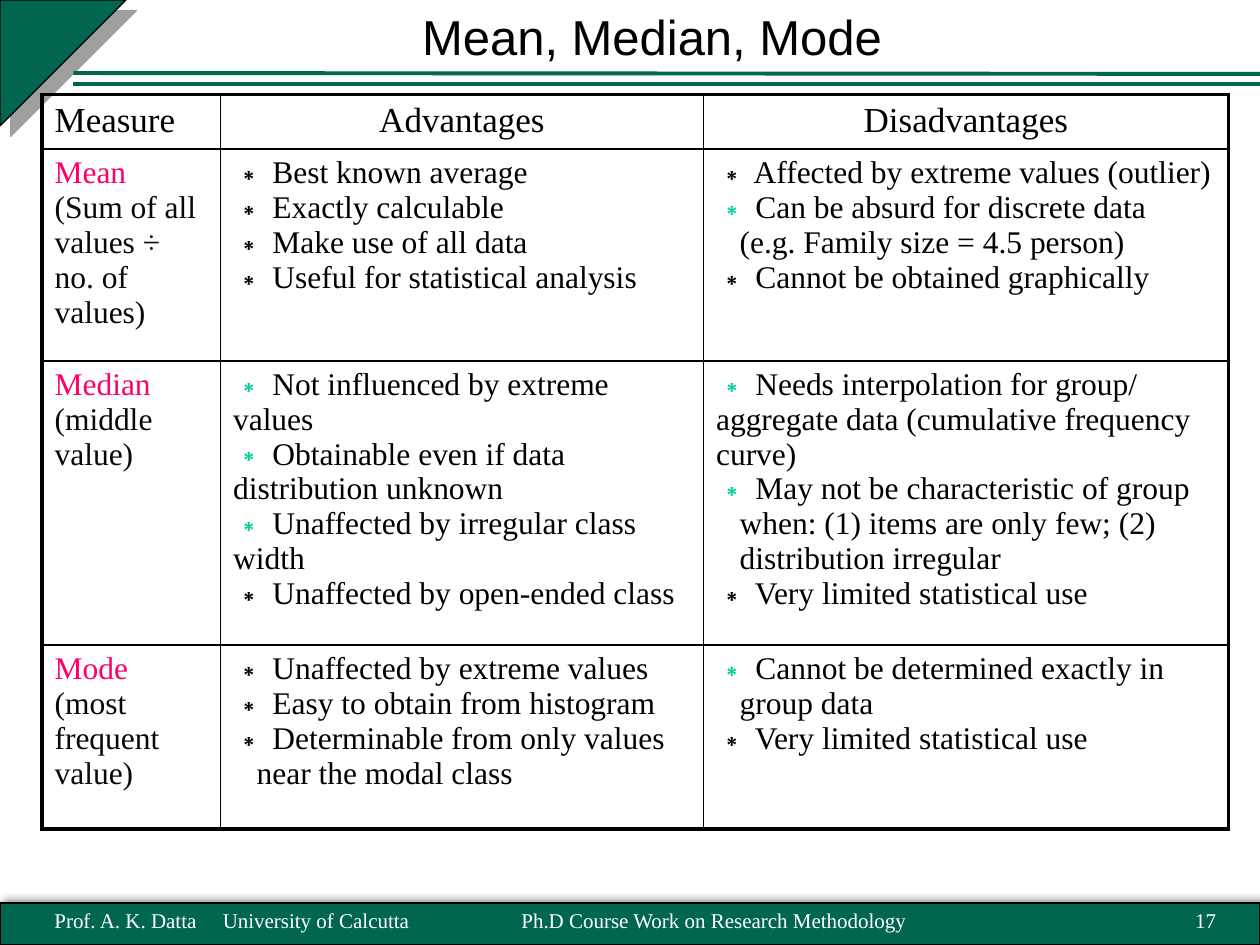
"""Build a slide comparing the mean, median and mode in a table."""
import pptx
import pptx.dml.color
import pptx.enum.shapes
import pptx.enum.text
import pptx.oxml
import pptx.oxml.ns
import pptx.util

Pt = pptx.util.Pt
ALIGN = pptx.enum.text.PP_ALIGN
ANCHOR = pptx.enum.text.MSO_ANCHOR
SHAPE = pptx.enum.shapes.MSO_SHAPE
SERIF = "Times New Roman"
GREEN, PINK, BLACK, WHITE = "00664D", "FF0066", "000000", "FFFFFF"
BULLETS = {"+": "00CC99", "-": BLACK}
COLUMNS = [102, 276, 300]
ROWS = [29.2, 121, 162.4, 105]
HEADINGS = ["Measure", "Advantages", "Disadvantages"]
MEASURES = [
    (
        ["Mean", "(Sum of all values ÷", "no. of values)"],
        ["- Best known average", "- Exactly calculable", "- Make use of all data",
         "- Useful for statistical analysis"],
        ["- Affected by extreme values (outlier)", "+ Can be absurd for discrete data",
         "> (e.g. Family size = 4.5 person)", "- Cannot be obtained graphically"],
    ),
    (
        ["Median", "(middle value)"],
        ["+ Not influenced by extreme\nvalues", "+ Obtainable even if data distribution unknown",
         "+ Unaffected by irregular class width", "- Unaffected by open-ended class"],
        ["+ Needs interpolation for group/ aggregate data (cumulative frequency curve)",
         "+ May not be characteristic of group", "> when: (1) items are only few; (2)",
         "> distribution irregular", "- Very limited statistical use"],
    ),
    (
        ["Mode", "(most frequent value)"],
        ["- Unaffected by extreme values", "- Easy to obtain from histogram",
         "- Determinable from only values", "> near the modal class"],
        ["+ Cannot be determined exactly in", "> group data", "- Very limited statistical use"],
    ),
]


def rgb(color):
    """Turn a hex string into a colour."""
    return pptx.dml.color.RGBColor.from_string(color)


def append_xml(parent, xml):
    """Append an element written in the drawing namespace."""
    tag, rest = xml[1:].split(" ", 1)
    source = f"<{tag} {pptx.oxml.ns.nsdecls('a')} {rest}"
    parent.append(pptx.oxml.parse_xml(source))


def add_span(para, text, size, color, font=SERIF):
    """Add text to a paragraph, with line breaks at newlines."""
    for index, line in enumerate(text.split("\n")):
        if index:
            para.add_line_break()
        span = para.add_run()
        span.text = line
        span.font.name = font
        span.font.size = Pt(size)
        span.font.color.rgb = rgb(color)


def add_panel(page, kind, left, top, width, height, shadow):
    """Add a green shape with an outer shadow."""
    panel = page.shapes.add_shape(kind, Pt(left), Pt(top), Pt(width), Pt(height))
    panel.fill.solid()
    panel.fill.fore_color.rgb = rgb(GREEN)
    panel.line.color.rgb = rgb(BLACK)
    panel.line.width = Pt(0.75)
    color, alpha, blur, distance, angle = shadow
    append_xml(
        panel.element.spPr,
        f'<a:effectLst ><a:outerShdw blurRad="{Pt(blur)}" dist="{Pt(distance)}" '
        f'dir="{angle * 60000}" algn="ctr" rotWithShape="0"><a:srgbClr val="{color}">'
        f'<a:alpha val="{alpha * 1000}"/></a:srgbClr></a:outerShdw></a:effectLst>',
    )
    return panel


def add_rule(page, left, start, right, end):
    """Add a green rule under the title."""
    rule = page.shapes.add_connector(
        pptx.enum.shapes.MSO_CONNECTOR.STRAIGHT, Pt(left), Pt(start), Pt(right), Pt(end)
    )
    rule.line.color.rgb = rgb(GREEN)
    rule.line.width = Pt(2.25)
    append_xml(rule.element.spPr, "<a:effectLst />")


def add_footer(page, left, width, text, align, tab=None):
    """Add white text on the bottom bar."""
    box = page.shapes.add_textbox(Pt(left), Pt(511.2), Pt(width), Pt(28.8))
    box.text_frame.word_wrap = True
    box.text_frame.vertical_anchor = ANCHOR.MIDDLE
    para = box.text_frame.paragraphs[0]
    para.alignment = align
    if tab:
        append_xml(
            para._p.get_or_add_pPr(),
            f'<a:tabLst ><a:tab pos="{Pt(tab)}" algn="l"/></a:tabLst>',
        )
    add_span(para, text, 12, WHITE)


def set_title(page, text):
    """Place and format the title."""
    title = page.shapes.title
    title.left, title.top, title.width, title.height = Pt(234), Pt(0), Pt(281), Pt(41)
    frame = title.text_frame
    frame.word_wrap = False
    frame.auto_size = pptx.enum.text.MSO_AUTO_SIZE.SHAPE_TO_FIT_TEXT
    frame.vertical_anchor = ANCHOR.TOP
    frame.paragraphs[0].alignment = ALIGN.LEFT
    add_span(frame.paragraphs[0], text, 28, BLACK, "Arial")


def format_cell(cell, row, column):
    """Clear the fill and draw borders, heavier around the table."""
    outer = {
        "lnL": column == 0,
        "lnR": column == len(COLUMNS) - 1,
        "lnT": row == 0,
        "lnB": row == len(ROWS) - 1,
    }
    for side, heavy in outer.items():
        append_xml(
            cell._tc.get_or_add_tcPr(),
            f'<a:{side} w="{Pt(2.25 if heavy else 1)}"><a:solidFill>'
            f'<a:srgbClr val="{BLACK}"/></a:solidFill></a:{side}>',
        )
    cell.fill.background()


def fill_name(cell, lines):
    """Write a measure's name in pink and its definition below."""
    for index, line in enumerate(lines):
        para = cell.text_frame.add_paragraph() if index else cell.text_frame.paragraphs[0]
        add_span(para, line, 18, "080808" if index else PINK)


def fill_points(cell, lines):
    """Write bulleted points and their indented continuation lines."""
    for index, line in enumerate(lines):
        para = cell.text_frame.add_paragraph() if index else cell.text_frame.paragraphs[0]
        properties = para._p.get_or_add_pPr()
        mark, text = line[0], line[1:]
        properties.set("indent", "0")
        if mark in BULLETS:
            properties.set("marL", "0")
            append_xml(properties, f'<a:buClr ><a:srgbClr val="{BULLETS[mark]}"/></a:buClr>')
            append_xml(properties, f'<a:buFont typeface="{SERIF}"/>')
            append_xml(properties, '<a:buChar char="∗"/>')
        else:
            properties.set("marL", str(Pt(13.5)))
            text = text.strip()
        add_span(para, text, 18, BLACK)


def add_measures(page):
    """Add the table of measures."""
    table = page.shapes.add_table(
        len(ROWS), len(COLUMNS), Pt(24), Pt(54), Pt(sum(COLUMNS)), Pt(sum(ROWS))
    ).table
    table.first_row = table.horz_banding = False
    for column, width in zip(table.columns, COLUMNS):
        column.width = Pt(width)
    for row, height in zip(table.rows, ROWS):
        row.height = Pt(height)
    for row in range(len(ROWS)):
        for column in range(len(COLUMNS)):
            cell = table.cell(row, column)
            format_cell(cell, row, column)
            if row == 0:
                para = cell.text_frame.paragraphs[0]
                para.alignment = ALIGN.CENTER if column else ALIGN.LEFT
                add_span(para, HEADINGS[column], 20, BLACK)
            else:
                fill = fill_points if column else fill_name
                fill(cell, MEASURES[row - 1][column])


def main():
    """Build and save the deck."""
    deck = pptx.Presentation()
    deck.slide_width, deck.slide_height = Pt(720), Pt(540)
    page = deck.slides.add_slide(deck.slide_layouts[5])
    set_title(page, "Mean, Median, Mode")
    add_panel(page, SHAPE.RECTANGLE, 0, 516, 720, 24, (BLACK, 40, 4, 3, 315))
    corner = add_panel(page, SHAPE.RIGHT_TRIANGLE, 0, 0, 72, 72, ("808080", 75, 0, 8.5, 45))
    corner.rotation = 90
    add_rule(page, 42, 48, 720, 48)
    add_rule(page, 42, 41.75, 720, 42.25)
    add_measures(page)
    add_footer(page, 24, 246, "Prof. A. K. Datta\tUniversity of Calcutta", ALIGN.LEFT, 96.25)
    add_footer(page, 666, 36, "17", ALIGN.RIGHT)
    add_footer(page, 246, 324, "Ph.D Course Work on Research Methodology", ALIGN.CENTER)
    deck.save("out.pptx")


if __name__ == "__main__":
    main()
